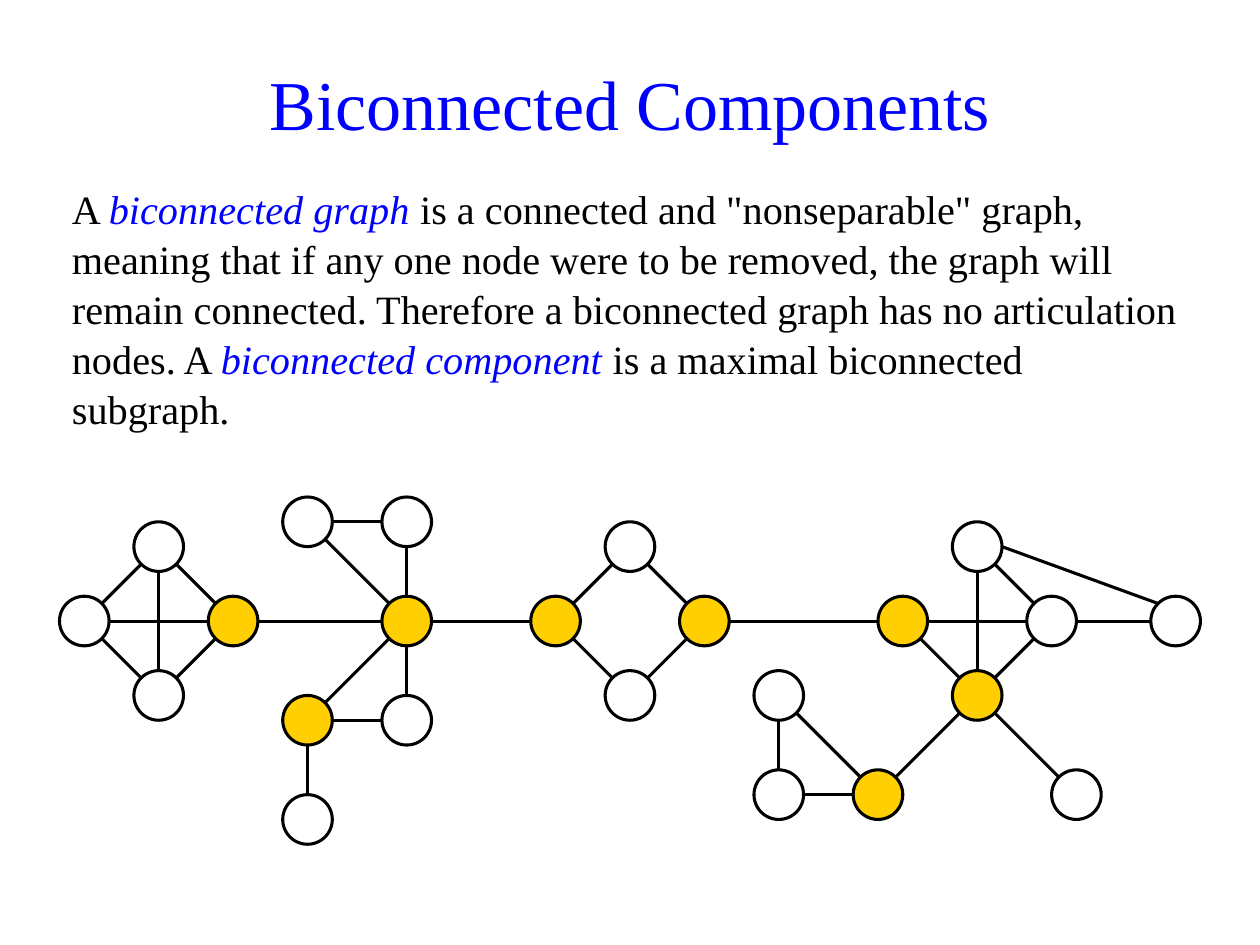
import math

import pptx
import pptx.dml.color
import pptx.enum.shapes
import pptx.enum.text
import pptx.oxml
import pptx.util
from pptx.util import Cm

FONT = "Times New Roman"
BLACK, BLUE, WHITE, GOLD = "000000", "0000FF", "FFFFFF", "FFCF01"
RADIUS = 0.5
LINE_WIDTH = 1.75

# Node centres in cm
NODES = {
    # Left diamond
    "left_west": (1.7, 12.52), "left_north": (3.2, 11.02),
    "left_east": (4.7, 12.52), "left_south": (3.2, 14.02),
    # Two triangles sharing a hub, with a pendant node
    "hub": (8.2, 12.52),
    "upper_left": (6.2, 10.52), "upper_right": (8.2, 10.52),
    "lower_left": (6.2, 14.52), "lower_right": (8.2, 14.52),
    "pendant": (6.2, 16.52),
    # Middle diamond
    "mid_west": (11.2, 12.52), "mid_north": (12.7, 11.02),
    "mid_east": (14.2, 12.52), "mid_south": (12.7, 14.02),
    # Right diamond with its two outer nodes
    "right_west": (18.2, 12.52), "right_north": (19.7, 11.02),
    "right_east": (21.2, 12.52), "right_south": (19.7, 14.02),
    "far_east": (23.7, 12.52), "leaf": (21.7, 16.02),
    # Bottom triangle
    "bottom_top": (15.7, 14.02), "bottom_left": (15.7, 16.02),
    "bottom_right": (17.7, 16.02),
}

ARTICULATION_NODES = {
    "left_east", "hub", "lower_left", "mid_west", "mid_east",
    "right_west", "right_south", "bottom_right",
}

EDGES = [
    ("left_west", "left_north"), ("left_north", "left_east"),
    ("left_west", "left_south"), ("left_south", "left_east"),
    ("left_west", "left_east"), ("left_north", "left_south"),
    ("left_east", "hub"),
    ("upper_left", "upper_right"), ("upper_right", "hub"), ("upper_left", "hub"),
    ("lower_left", "lower_right"), ("lower_right", "hub"), ("lower_left", "hub"),
    ("pendant", "lower_left"),
    ("hub", "mid_west"),
    ("mid_west", "mid_north"), ("mid_north", "mid_east"),
    ("mid_west", "mid_south"), ("mid_south", "mid_east"),
    ("mid_east", "right_west"),
    ("right_north", "right_east"), ("right_west", "right_south"),
    ("right_south", "right_east"), ("right_north", "right_south"),
    ("right_west", "right_east"), ("right_east", "far_east"),
    ("bottom_right", "right_south"), ("right_south", "leaf"),
    ("bottom_left", "bottom_top"), ("bottom_left", "bottom_right"),
    ("bottom_top", "bottom_right"),
]


def color(hex_string):
    return pptx.dml.color.RGBColor.from_string(hex_string)


def add_text(slide, left, top, width, height, pieces, size):
    """Add a one-paragraph text box; pieces are (text, colour, italic)."""
    shape = slide.shapes.add_textbox(Cm(left), Cm(top), Cm(width), Cm(height))
    shape.text_frame.word_wrap = True
    paragraph = shape.text_frame.paragraphs[0]
    for text, hex_string, italic in pieces:
        run = paragraph.add_run()
        run.text = text
        run.font.name = FONT
        run.font.size = pptx.util.Pt(size)
        run.font.italic = italic
        run.font.color.rgb = color(hex_string)
    return shape


def style_line(line):
    line.color.rgb = color(BLACK)
    line.width = pptx.util.Pt(LINE_WIDTH)


def add_node(slide, name):
    x, y = NODES[name]
    shape = slide.shapes.add_shape(
        pptx.enum.shapes.MSO_SHAPE.OVAL,
        Cm(x - RADIUS), Cm(y - RADIUS), Cm(2 * RADIUS), Cm(2 * RADIUS))
    shape.shadow.inherit = False
    shape.fill.solid()
    shape.fill.fore_color.rgb = color(GOLD if name in ARTICULATION_NODES else WHITE)
    style_line(shape.line)


def rim_point(name, angle):
    x, y = NODES[name]
    return Cm(x + RADIUS * math.cos(angle)), Cm(y + RADIUS * math.sin(angle))


def add_edge(slide, start, end, start_angle=None, end_angle=None):
    """Join two nodes rim to rim, straight between centres unless angles are given."""
    (x1, y1), (x2, y2) = NODES[start], NODES[end]
    direction = math.atan2(y2 - y1, x2 - x1)
    if start_angle is None:
        start_angle = direction
    if end_angle is None:
        end_angle = direction + math.pi
    connector = slide.shapes.add_connector(
        pptx.enum.shapes.MSO_CONNECTOR.STRAIGHT,
        *rim_point(start, start_angle), *rim_point(end, end_angle))
    style_line(connector.line)
    properties = connector._element.spPr
    properties.append(pptx.oxml.parse_xml(
        '<a:effectLst xmlns:a="http://schemas.openxmlformats.org/drawingml/2006/main"/>'))


def main():
    presentation = pptx.Presentation()
    presentation.slide_width, presentation.slide_height = Cm(25.4), Cm(19.05)
    slide = presentation.slides.add_slide(presentation.slide_layouts[6])

    # Title
    title = add_text(slide, 1.2, 0.53, 23, 2.5,
                     [("Biconnected Components", BLUE, False)], 40)
    title.text_frame.vertical_anchor = pptx.enum.text.MSO_ANCHOR.BOTTOM
    title.text_frame.paragraphs[0].alignment = pptx.enum.text.PP_ALIGN.CENTER

    # Definition
    body = add_text(slide, 1.2, 3.55, 23, 5.5, [
        ("A ", BLACK, False),
        ("biconnected graph", BLUE, True),
        (' is a connected and "nonseparable" graph, meaning that if any one node '
         "were to be removed, the graph will remain connected. Therefore a "
         "biconnected graph has no articulation nodes. A ", BLACK, False),
        ("biconnected component", BLUE, True),
        (" is a maximal biconnected subgraph.", BLACK, False),
    ], 23)
    body.text_frame.paragraphs[0].line_spacing = 1.04

    # Graph
    for start, end in EDGES:
        add_edge(slide, start, end)
    add_edge(slide, "right_north", "far_east", 0, math.radians(225))
    for name in NODES:
        add_node(slide, name)

    presentation.save("out.pptx")


if __name__ == "__main__":
    main()
